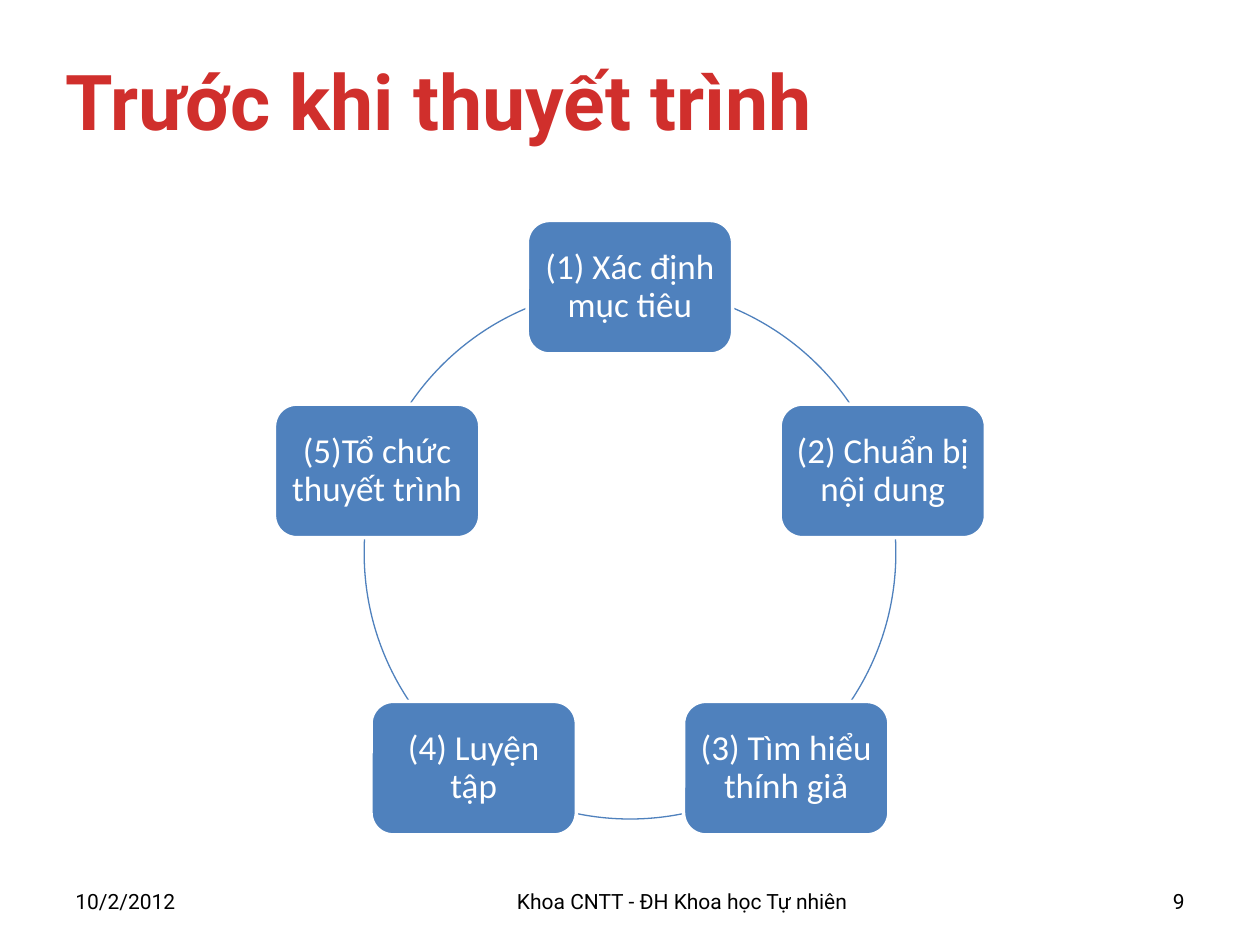
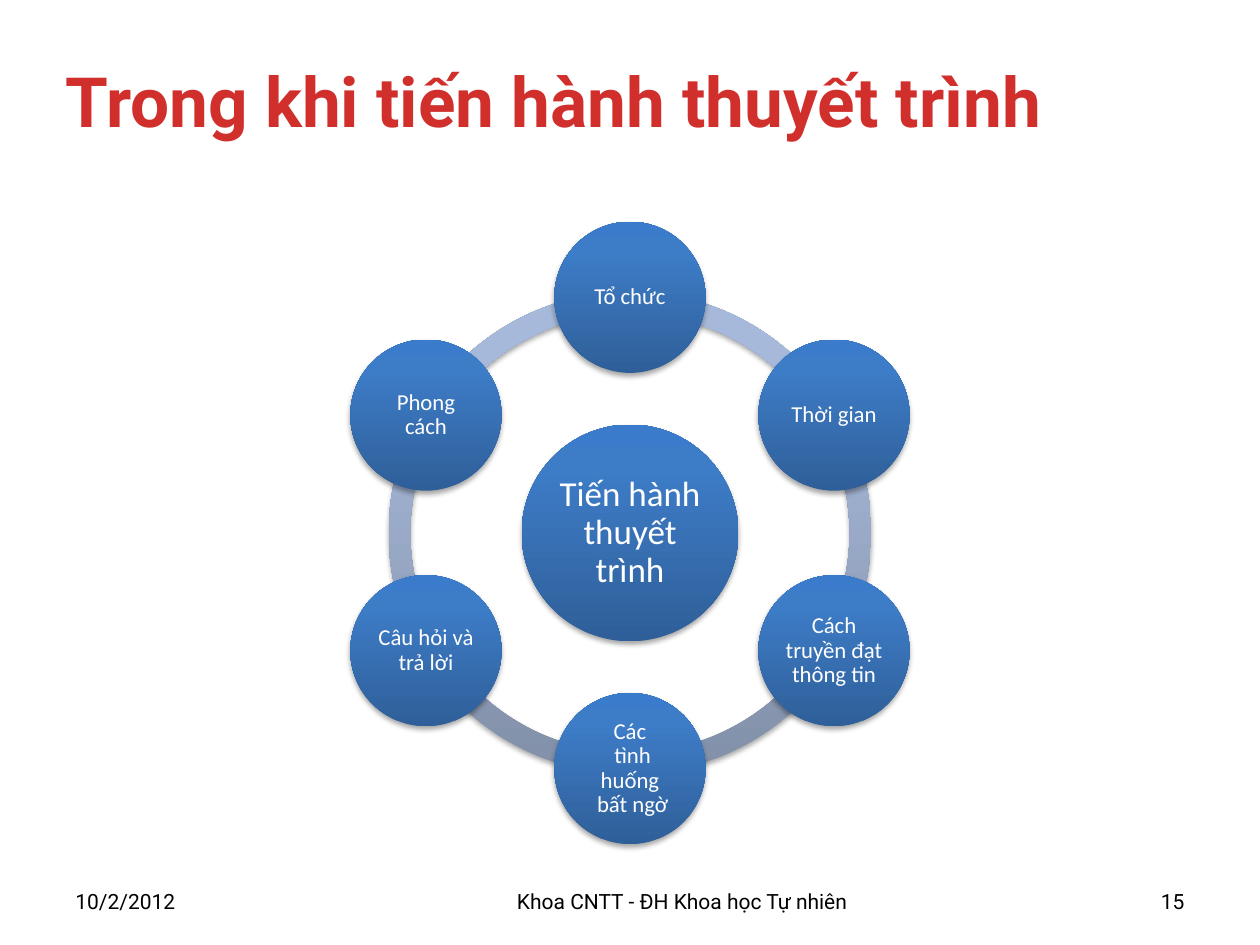
import copy
import math
from dataclasses import dataclass

from pptx import Presentation
from pptx import util as u
from pptx.dml.color import RGBColor
from pptx.enum import shapes, text
from pptx.oxml import ns, parse_xml


@dataclass(frozen=True)
class Theme:
    title_color: str = "D02F2C"
    footer_color: str = "000000"
    label_color: str = "FFFFFF"
    step_fill: str = "4F81BD"
    step_border: str = "FFFFFF"
    topic_gradient: tuple = ((0, "2F5F99"), (0.8, "3D7CC7"), (1, "3A7CCB"))
    ring_gradient: tuple = ((0, "818FA8"), (0.8, "A7B9DA"), (1, "A7BADC"))
    heading_font: str = "Roboto"
    label_font: str = "Calibri"
    title_size: float = 44
    long_title_size: float = 39.6
    label_size: float = 20
    topic_size: float = 13
    footer_size: float = 12


THEME = Theme()
DATE = "10/2/2012"
DEPARTMENT = "Khoa CNTT - ĐH Khoa học Tự nhiên"
CENTER_X = 5

STEPS = ["(1) Xác định mục tiêu", "(2) Chuẩn bị nội dung", "(3) Tìm hiểu thính giả",
         "(4) Luyện tập", "(5)Tổ chức thuyết trình"]
# Visible arcs between steps, in degrees clockwise from the top
RIGHT_SPANS = [(22.9, 55.6), (87, 123.6)]
STEP_SPANS = (RIGHT_SPANS + [(168.5, 191.5)]
              + [(360 - end, 360 - start) for start, end in RIGHT_SPANS])

HUB = "Tiến hành thuyết trình"
TOPICS = ["Tổ chức", "Thời gian", "Cách truyền đạt thông tin",
          "Các\v tình huống\v bất ngờ", "Câu hỏi và trả lời", "Phong cách"]


# --- Text and shape helpers ---

def style_text(frame, content, font, size, color, align, bold=False):
    frame.word_wrap = True
    frame.auto_size = text.MSO_AUTO_SIZE.NONE
    frame.vertical_anchor = text.MSO_ANCHOR.MIDDLE
    paragraph = frame.paragraphs[0]
    paragraph.text = content
    paragraph.alignment = align
    for run in paragraph.runs:
        run.font.name = font
        run.font.size = u.Pt(size)
        run.font.bold = bold
        run.font.color.rgb = RGBColor.from_string(color)
    return paragraph


def add_centered(slide, kind, x, y, width, height):
    shape = slide.shapes.add_shape(kind, u.Inches(x - width / 2), u.Inches(y - height / 2),
                                   u.Inches(width), u.Inches(height))
    shape.shadow.inherit = False
    return shape


def add_label(shape, content, size, inset):
    frame = shape.text_frame
    frame.margin_left = frame.margin_right = u.Inches(inset)
    frame.margin_top = frame.margin_bottom = u.Inches(inset)
    paragraph = style_text(frame, content, THEME.label_font, size,
                           THEME.label_color, text.PP_ALIGN.CENTER)
    paragraph.line_spacing = 0.9


def set_span(arc, start, end):
    """Set an arc's ends, given in degrees clockwise from the top."""
    for index, angle in enumerate((start, end)):
        arc.adjustments[index] = (angle - 90) % 360 * 0.6


def shade(shape, stops):
    """Vertical gradient from the bottom up, no outline, soft shadow below."""
    shape.line.fill.background()
    shape.fill.gradient()
    shape.fill.gradient_angle = 90
    properties = shape._element.spPr
    stop_list = properties.find(".//" + ns.qn("a:gsLst"))
    stop_list.append(copy.deepcopy(stop_list[-1]))
    for stop, (position, color) in zip(shape.fill.gradient_stops, stops):
        stop.position = position
        stop.color.rgb = RGBColor.from_string(color)
    properties.find(ns.qn("a:effectLst")).append(parse_xml(
        f'<a:outerShdw {ns.nsdecls("a")} blurRad="{u.Pt(3.1)}" dist="{u.Pt(1.8)}" '
        'dir="5400000" rotWithShape="0"><a:srgbClr val="000000">'
        '<a:alpha val="35000"/></a:srgbClr></a:outerShdw>'))


def around(center_y, radius, count):
    """Points spaced evenly on a circle, clockwise from the top."""
    for index in range(count):
        angle = math.tau * index / count
        yield CENTER_X + radius * math.sin(angle), center_y - radius * math.cos(angle)


# --- Shared slide frame ---

def add_footer(slide, left, width, content, align):
    box = slide.shapes.add_textbox(u.Inches(left), u.Inches(6.95),
                                   u.Inches(width), u.Inches(0.4))
    style_text(box.text_frame, content, THEME.heading_font, THEME.footer_size,
               THEME.footer_color, align)


def add_slide(deck, heading, size, number):
    slide = deck.slides.add_slide(deck.slide_layouts[5])
    title = slide.shapes.title
    title.left, title.top = u.Inches(0.42), u.Inches(0.17)
    title.width, title.height = u.Inches(9.42), u.Inches(1.25)
    style_text(title.text_frame, heading, THEME.heading_font, size,
               THEME.title_color, text.PP_ALIGN.LEFT, bold=True)
    add_footer(slide, 0.5, 1.08, DATE, text.PP_ALIGN.LEFT)
    add_footer(slide, 2.08, 6.67, DEPARTMENT, text.PP_ALIGN.CENTER)
    add_footer(slide, 8.92, 0.58, str(number), text.PP_ALIGN.RIGHT)
    return slide


# --- Diagrams ---

def add_step_cycle(slide, center_y=4.39, radius=2.11):
    for start, end in STEP_SPANS:
        link = add_centered(slide, shapes.MSO_SHAPE.ARC, CENTER_X, center_y,
                            2 * radius, 2 * radius)
        set_span(link, start, end)
        link.fill.background()
        link.line.color.rgb = RGBColor.from_string(THEME.step_fill)
        link.line.width = u.Pt(0.75)
    for step, (x, y) in zip(STEPS, around(center_y, radius, len(STEPS))):
        card = add_centered(slide, shapes.MSO_SHAPE.ROUNDED_RECTANGLE, x, y, 1.63, 1.06)
        card.fill.solid()
        card.fill.fore_color.rgb = RGBColor.from_string(THEME.step_fill)
        card.line.color.rgb = RGBColor.from_string(THEME.step_border)
        card.line.width = u.Pt(2)
        add_label(card, step, THEME.label_size, 0.08)


def add_disc(slide, x, y, diameter, content, size, inset):
    disc = add_centered(slide, shapes.MSO_SHAPE.OVAL, x, y, diameter, diameter)
    shade(disc, THEME.topic_gradient)
    add_label(disc, content, size, inset)


def add_topic_wheel(slide, center_y=4.23, radius=1.87, ring_size=3.83):
    sector = 360 // len(TOPICS)
    for start in reversed(range(0, 360, sector)):
        ring = add_centered(slide, shapes.MSO_SHAPE.BLOCK_ARC, CENTER_X, center_y,
                            ring_size, ring_size)
        set_span(ring, start, start + sector)
        ring.adjustments[2] = 0.045
        shade(ring, THEME.ring_gradient)
    add_disc(slide, CENTER_X, center_y, 1.72, HUB, THEME.label_size, 0.03)
    for topic, (x, y) in zip(TOPICS, around(center_y, radius, len(TOPICS))):
        add_disc(slide, x, y, 1.2, topic, THEME.topic_size, 0.02)


def main():
    deck = Presentation()
    deck.slide_width, deck.slide_height = u.Inches(10), u.Inches(7.5)
    before = add_slide(deck, "Trước khi thuyết trình", THEME.title_size, 9)
    add_step_cycle(before)
    during = add_slide(deck, "Trong khi tiến hành thuyết trình", THEME.long_title_size, 15)
    add_topic_wheel(during)
    deck.save("out.pptx")


if __name__ == "__main__":
    main()
